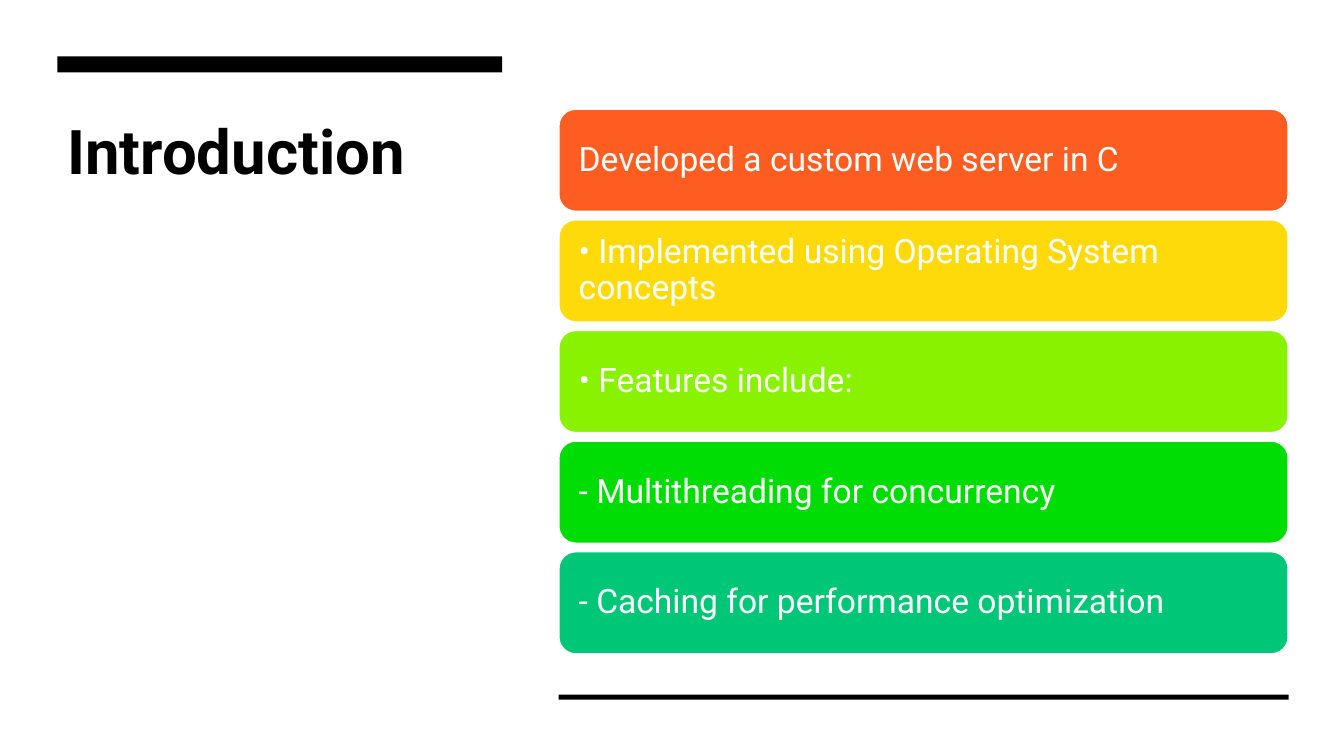
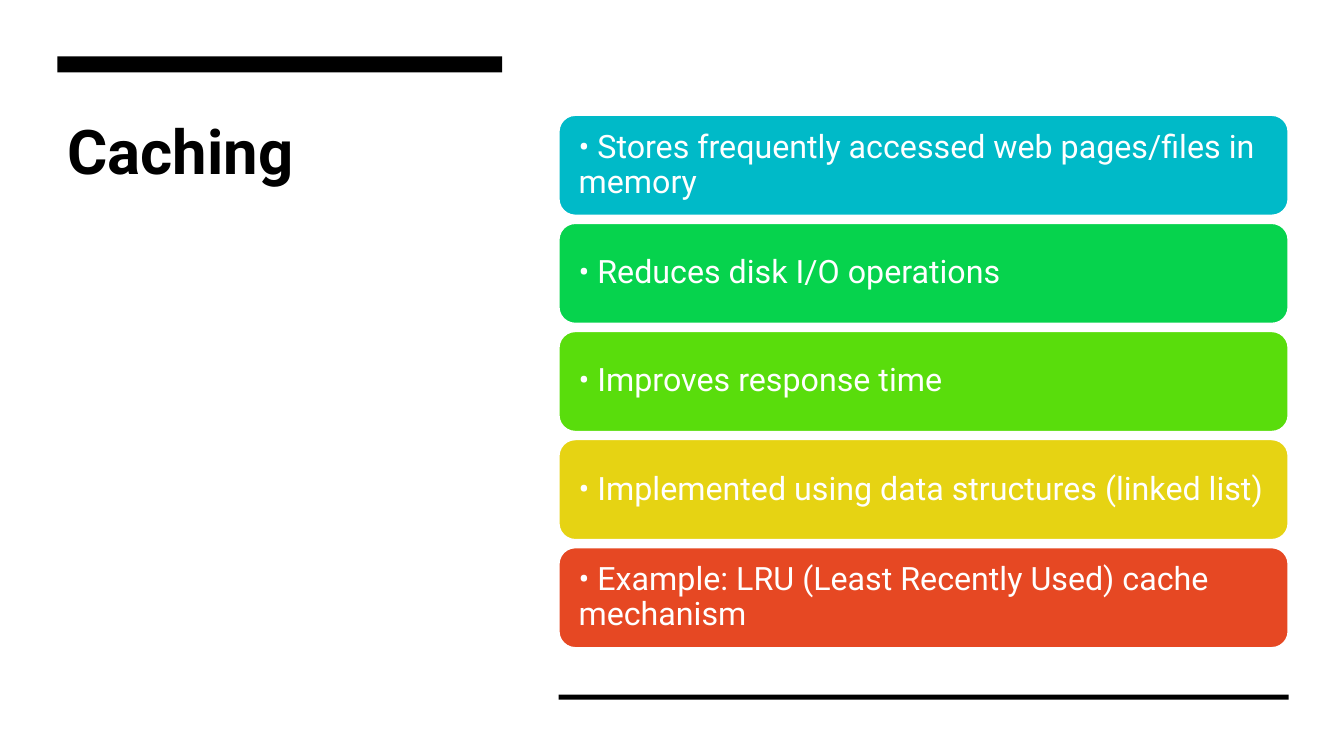
from pptx import Presentation
from pptx.dml.color import RGBColor
from pptx.enum.shapes import MSO_SHAPE
from pptx.enum.text import MSO_ANCHOR, MSO_AUTO_SIZE, PP_ALIGN
from pptx.util import Pt

PX = 9144  # EMU per px, 100 px to the inch
FONT = "Roboto"

BLACK = RGBColor(0x00, 0x00, 0x00)
WHITE = RGBColor(0xFF, 0xFF, 0xFF)
ORANGE = RGBColor(0xFE, 0x5D, 0x21)
YELLOW = RGBColor(0xFE, 0xDA, 0x0B)
LIME = RGBColor(0x89, 0xF2, 0x01)
GREEN = RGBColor(0x00, 0xDD, 0x04)
JADE = RGBColor(0x00, 0xC7, 0x77)
CYAN = RGBColor(0x00, 0xBA, 0xC8)
EMERALD = RGBColor(0x06, 0xD3, 0x4D)
LEAF = RGBColor(0x59, 0xDD, 0x0C)
GOLD = RGBColor(0xE6, 0xD3, 0x13)
RED = RGBColor(0xE6, 0x48, 0x23)

# Column positions
LEFT_X, LEFT_W = 57, 441
RIGHT_X, RIGHT_W = 554, 724


class Deck:
    def __init__(self):
        self.prs = Presentation()
        self.prs.slide_width = 1333 * PX
        self.prs.slide_height = 750 * PX
        self.s = None

    def add_slide(self, title):
        """Start a slide with its title and the two black bars."""
        self.s = self.prs.slides.add_slide(self.prs.slide_layouts[5])
        self.title(title)
        self.bar(LEFT_X, 56, LEFT_W, 16)
        self.bar(RIGHT_X, 689, RIGHT_W, 5)

    def title(self, text):
        sp = self.s.shapes.title
        sp.left, sp.top = LEFT_X * PX, 107 * PX
        sp.width, sp.height = LEFT_W * PX, 368 * PX
        tf = sp.text_frame
        tf.word_wrap = True
        tf.auto_size = MSO_AUTO_SIZE.NONE
        tf.vertical_anchor = MSO_ANCHOR.TOP
        self.run(tf.paragraphs[0], text, 44, BLACK, bold=True)

    def run(self, p, text, size, color, bold=False):
        p.alignment = PP_ALIGN.LEFT
        r = p.add_run()
        r.text = text
        r.font.name = FONT
        r.font.size = Pt(size)
        r.font.bold = bold
        r.font.color.rgb = color

    def shape(self, kind, x, y, w, h, fill):
        sp = self.s.shapes.add_shape(
            kind, round(x * PX), round(y * PX), w * PX, h * PX)
        sp.shadow.inherit = False
        sp.fill.solid()
        sp.fill.fore_color.rgb = fill
        return sp

    def bar(self, x, y, w, h):
        sp = self.shape(MSO_SHAPE.RECTANGLE, x, y, w, h, BLACK)
        sp.line.fill.background()

    def card(self, y, h, fill, text, size):
        sp = self.shape(MSO_SHAPE.ROUNDED_RECTANGLE, RIGHT_X, y, RIGHT_W, h, fill)
        sp.line.color.rgb = WHITE
        sp.line.width = Pt(1.5)
        tf = sp.text_frame
        tf.word_wrap = True
        tf.vertical_anchor = MSO_ANCHOR.MIDDLE
        tf.margin_left = tf.margin_right = 15 * PX
        tf.margin_top = tf.margin_bottom = 15 * PX
        p = tf.paragraphs[0]
        p.line_spacing = 0.9
        self.run(p, text, size, WHITE)

    def card_stack(self, top, bottom, h, size, cards):
        """Spread cards of height h evenly from top to bottom."""
        pitch = (bottom - top - h) / (len(cards) - 1)
        for i, (fill, text) in enumerate(cards):
            self.card(top + i * pitch, h, fill, text, size)


def main():
    deck = Deck()

    # Introduction
    deck.add_slide("Introduction")
    deck.card_stack(108, 649, 102, 24, [
        (ORANGE, "Developed a custom web server in C"),
        (YELLOW, "• Implemented using Operating System concepts"),
        (LIME, "• Features include:"),
        (GREEN, "- Multithreading for concurrency"),
        (JADE, "- Caching for performance optimization"),
    ])

    # Caching
    deck.add_slide("Caching")
    deck.card_stack(114, 643, 100, 23, [
        (CYAN, "• Stores frequently accessed web pages/files in memory"),
        (EMERALD, "• Reduces disk I/O operations"),
        (LEAF, "• Improves response time"),
        (GOLD, "• Implemented using data structures (linked list)"),
        (RED, "• Example: LRU (Least Recently Used) cache mechanism"),
    ])

    deck.prs.save("out.pptx")


if __name__ == "__main__":
    main()
